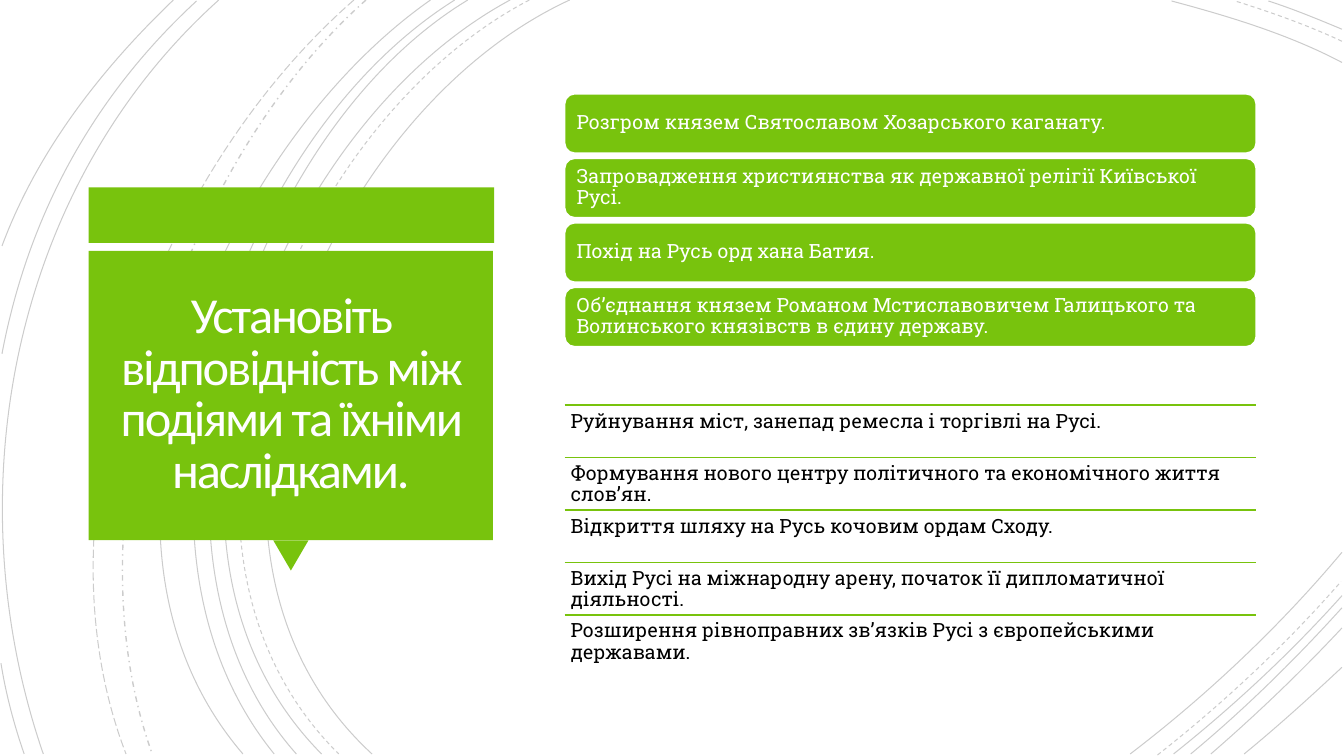
"""Builds a slide that matches historical events with their consequences."""
from dataclasses import dataclass

from lxml import etree
from pptx import Presentation
from pptx import util as u
from pptx.dml.color import RGBColor
from pptx.enum import dml, shapes, text
from pptx.oxml import ns

GREEN = RGBColor(0x78, 0xC3, 0x0D)
WHITE = RGBColor(0xFF, 0xFF, 0xFF)
TITLE_WHITE = RGBColor(0xFF, 0xFE, 0xFF)
BLACK = RGBColor(0, 0, 0)
DASH = dml.MSO_LINE.DASH
LONG_DASH = dml.MSO_LINE.LONG_DASH
DASH_DOT = dml.MSO_LINE.DASH_DOT

LIST_LEFT, LIST_WIDTH = 5.6, 6.86
CARD_TOP, CARD_HEIGHT, CARD_PITCH = 0.93, 0.59, 0.64
ROW_TOP, ROW_HEIGHT = 4.02, 0.52

TITLE = "Установіть відповідність між подіями та їхніми наслідками."
EVENTS = (
    "Розгром князем Святославом Хозарського каганату.",
    "Запровадження християнства як державної релігії Київської Русі.",
    "Похід на Русь орд хана Батия.",
    "Об’єднання князем Романом Мстиславовичем Галицького та Волинського князівств в єдину державу.",
)
CONSEQUENCES = (
    "Руйнування міст, занепад ремесла і торгівлі на Русі.",
    "Формування нового центру політичного та економічного життя слов’ян.",
    "Відкриття шляху на Русь кочовим ордам Сходу.",
    "Вихід Русі на міжнародну арену, початок її дипломатичної діяльності.",
    "Розширення рівноправних зв’язків Русі з європейськими державами.",
)


@dataclass(frozen=True)
class Arc:
    """A cubic curve: start, two control points and end."""
    points: tuple[tuple[float, float], ...]
    dash: dml.MSO_LINE | None = None
    width: float = 0.75


@dataclass(frozen=True)
class TextStyle:
    """Format values of a text frame, its paragraph and its font."""
    frame: dict
    paragraph: dict
    font: dict
    color: RGBColor
    spacing: int = 0


def insets(x: float, y: float) -> dict:
    """Return equal side margins and equal top and bottom margins."""
    return {"margin_left": u.Inches(x), "margin_right": u.Inches(x),
            "margin_top": u.Inches(y), "margin_bottom": u.Inches(y), "word_wrap": True}


MIDDLE = {"vertical_anchor": text.MSO_ANCHOR.MIDDLE}
TOP = {"vertical_anchor": text.MSO_ANCHOR.TOP}
LIST_PARAGRAPH = {"alignment": text.PP_ALIGN.LEFT, "line_spacing": 0.9}
LIST_FONT = {"name": "Roboto Slab", "size": u.Pt(14)}
TITLE_STYLE = TextStyle(insets(0.19, 0.18) | MIDDLE,
                        {"alignment": text.PP_ALIGN.CENTER, "line_spacing": 0.85},
                        {"name": "Calibri", "size": u.Pt(36)}, TITLE_WHITE, -150)
CARD_STYLE = TextStyle(insets(0.09, 0.08) | MIDDLE, LIST_PARAGRAPH, LIST_FONT, WHITE)
ROW_STYLE = TextStyle(insets(0.06, 0.06) | TOP, LIST_PARAGRAPH, LIST_FONT, BLACK)

ARCS = (
    Arc(((5.65, 0), (3.15, 1.15), (1.43, 5.4), (3.69, 7.48))),
    Arc(((13.31, 0.62), (12.78, 0.34), (12.18, 0.16), (11.62, 0.01))),
    Arc(((11.21, 7.48), (11.97, 6.9), (12.69, 6.22), (13.31, 5.48))),
    Arc(((5.25, 0), (2.85, 1.25), (1.23, 5.37), (3.36, 7.48)), DASH),
    Arc(((13.31, 0.41), (12.97, 0.25), (12.6, 0.12), (12.25, 0.01)), DASH),
    Arc(((11.48, 7.49), (12.13, 6.98), (12.75, 6.4), (13.3, 5.77)), DASH),
    Arc(((5.06, 0), (2.7, 1.27), (1.1, 5.37), (3.19, 7.48))),
    Arc(((13.31, 0.29), (13.07, 0.19), (12.83, 0.09), (12.58, 0.01))),
    Arc(((11.64, 7.48), (12.23, 7.01), (12.8, 6.48), (13.31, 5.91))),
    Arc(((4.64, 0), (2.44, 1.33), (1.1, 5.41), (2.94, 7.48))),
    Arc(((11.81, 7.48), (12.34, 7.04), (12.84, 6.55), (13.31, 6.03))),
    Arc(((4.51, 0), (2.31, 1.38), (0.97, 5.33), (2.72, 7.48))),
    Arc(((12.01, 7.48), (12.46, 7.09), (12.9, 6.67), (13.31, 6.23))),
    Arc(((4.27, 0), (2.17, 1.47), (0.53, 5.29), (2.41, 7.48))),
    Arc(((12.34, 7.48), (12.67, 7.21), (12.99, 6.92), (13.31, 6.62))),
    Arc(((3.63, 0), (1.76, 1.66), (0.65, 5.09), (1.51, 7.48)), DASH_DOT, 1),
    Arc(((3.51, 0), (1.57, 1.69), (0.29, 4.99), (1.25, 7.48)), LONG_DASH),
    Arc(((2.17, 0), (0.11, 1.85), (-0.46, 4.9), (0.43, 7.48))),
    Arc(((1.95, 0.01), (0.92, 0.96), (0.28, 2.14), (0.02, 3.51))),
    Arc(((0.01, 6.58), (0.06, 6.89), (0.14, 7.19), (0.24, 7.48))),
    Arc(((1.72, 0), (1, 0.69), (0.37, 1.5), (0.02, 2.44))),
)


def apply(target, values: dict) -> None:
    """Set each named format value on the target."""
    for name, value in values.items():
        setattr(target, name, value)


def draw_arc(s, arc: Arc) -> None:
    """Draw one faint background curve."""
    start, *rest = [(u.Inches(x), u.Inches(y)) for x, y in arc.points]
    builder = s.shapes.build_freeform(*start)
    builder.add_line_segments(rest, close=False)
    sp = builder.convert_to_shape()
    sp.shadow.inherit = False
    sp.fill.background()
    sp.line.color.rgb = BLACK
    apply(sp.line, {"width": u.Pt(arc.width), "dash_style": arc.dash})
    color = sp.line._get_or_add_ln().find(".//" + ns.qn("a:srgbClr"))
    etree.SubElement(color, ns.qn("a:alpha"), val="20000")
    segments = sp._element.findall(".//" + ns.qn("a:lnTo"))
    curve = etree.SubElement(segments[0].getparent(), ns.qn("a:cubicBezTo"))
    for segment in segments:
        curve.append(segment[0])
        segment.getparent().remove(segment)


def write(sp, content: str, style: TextStyle) -> None:
    """Put one styled paragraph into a shape."""
    tf = sp.text_frame
    apply(tf, style.frame)
    p = tf.paragraphs[0]
    apply(p, style.paragraph)
    r = p.add_run()
    r.text = content
    apply(r.font, style.font)
    r.font.color.rgb = style.color
    if style.spacing:
        r.font._element.set("spc", str(style.spacing))


def add_block(s, kind: shapes.MSO_SHAPE, *box: float):
    """Add a plain green shape at left, top, width, height."""
    sp = s.shapes.add_shape(kind, *map(u.Inches, box))
    sp.shadow.inherit = False
    sp.fill.solid()
    sp.fill.fore_color.rgb = GREEN
    sp.line.fill.background()
    return sp


def add_card(s, index: int, content: str) -> None:
    """Add one event card."""
    sp = add_block(s, shapes.MSO_SHAPE.ROUNDED_RECTANGLE, LIST_LEFT,
                   CARD_TOP + index * CARD_PITCH, LIST_WIDTH, CARD_HEIGHT)
    sp.line.color.rgb = WHITE
    sp.line.width = u.Pt(1.25)
    write(sp, content, CARD_STYLE)


def add_row(s, index: int, content: str) -> None:
    """Add one consequence under its rule."""
    left, width = u.Inches(LIST_LEFT), u.Inches(LIST_WIDTH)
    top = u.Inches(ROW_TOP + index * ROW_HEIGHT)
    rule = s.shapes.add_connector(shapes.MSO_CONNECTOR.STRAIGHT, left, top, left + width, top)
    rule.line.color.rgb = GREEN
    rule.line.width = u.Pt(1.25)
    etree.SubElement(rule._element.spPr, ns.qn("a:effectLst"))
    write(s.shapes.add_textbox(left, top, width, u.Inches(ROW_HEIGHT)), content, ROW_STYLE)


def main() -> None:
    """Build and save the slide."""
    prs = Presentation()
    apply(prs, {"slide_width": u.Inches(13.33), "slide_height": u.Inches(7.5)})
    s = prs.slides.add_slide(prs.slide_layouts[6])
    for arc in ARCS:
        draw_arc(s, arc)
    add_block(s, shapes.MSO_SHAPE.RECTANGLE, 0.88, 1.86, 4.02, 0.55)
    add_block(s, shapes.MSO_SHAPE.ISOSCELES_TRIANGLE, 2.71, 5.36, 0.35, 0.3).rotation = 180
    write(add_block(s, shapes.MSO_SHAPE.RECTANGLE, 0.88, 2.49, 4.01, 2.87), TITLE, TITLE_STYLE)
    for index, content in enumerate(EVENTS):
        add_card(s, index, content)
    for index, content in enumerate(CONSEQUENCES):
        add_row(s, index, content)
    prs.save("out.pptx")


if __name__ == "__main__":
    main()
